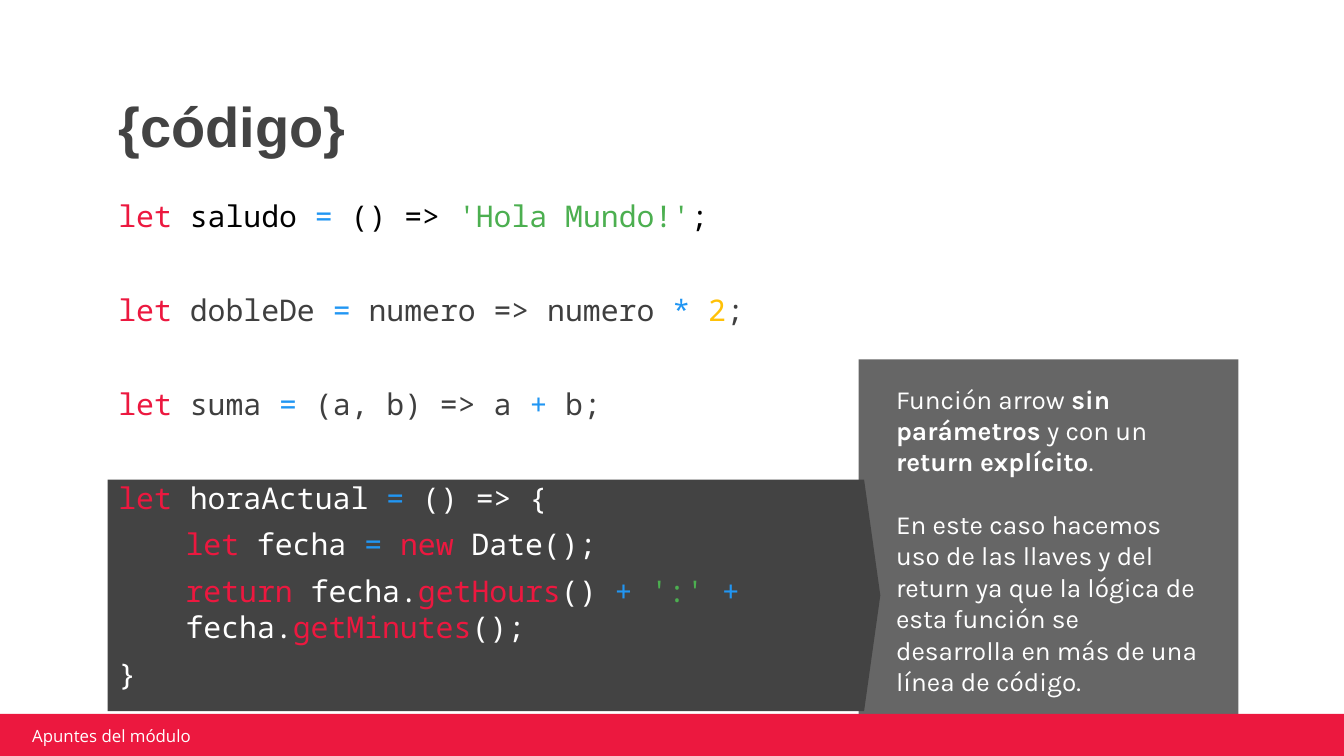
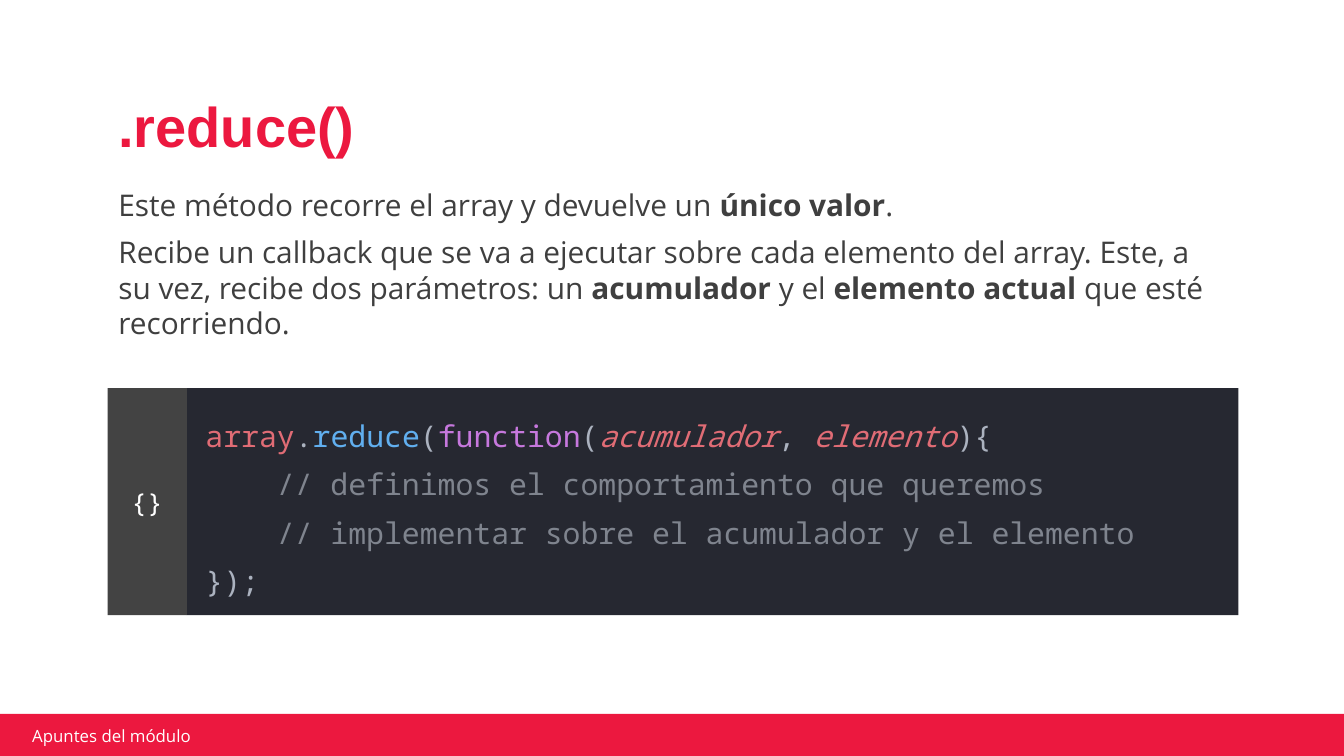
from pptx import Presentation
from pptx.dml.color import RGBColor
from pptx.enum.shapes import MSO_SHAPE as Shape
from pptx.enum.text import MSO_ANCHOR as Anchor, MSO_AUTO_SIZE as AutoSize, PP_ALIGN as Align
from pptx.oxml.ns import qn
from pptx.util import Pt

# Shared look
RED, WHITE, BLACK = "EC183F", "FFFFFF", "000000"
DARK, TEXT, GRAY = "434343", "3F3F3F", "666666"
BLUE, GREEN, YELLOW = "2196F3", "4CAF50", "FFC107"
EDITOR, CORAL, SILVER = "262831", "E06C75", "ABB2BF"
SKY, PURPLE, COMMENT = "61AFEF", "C678DD", "7F848E"
SANS, MONO, NOTE, HEADING = "Open Sans", "Noto Sans Mono", "Karla", "Arial"
PAGE_WIDTH, PAGE_HEIGHT = 720, 405
LEFT, TITLE_WIDTH = 56.2, 607
BLOCK_LEFT, BLOCK_RIGHT = 57.6, 663.5
FOOTER_TOP = 382.4
INSETS = (7.2, 7.2, 7.2, 7.2)
LINE, GAP = 19.1, 6
BLANK = LINE + 2 * GAP
INDENT = 36
NOTE_LINE = 16.8
EDITOR_LINE = 25.9
FOOTER = "Apuntes del módulo"

# Content: each paragraph is (space before, indent, spans);
# each span is (text, colour, style), the style being "", "b" or "i"
ARROW_TITLE = ("{código}", DARK)
ARROW_CODE = [
    (0, 0, [("let", RED), (" saludo ", BLACK), ("=", BLUE), (" () => ", BLACK),
            ("'Hola Mundo!'", GREEN), (";", BLACK)]),
    (BLANK, 0, [("let", RED), (" dobleDe ", TEXT), ("=", BLUE),
                (" numero => numero ", TEXT), ("* ", BLUE), ("2", YELLOW), (";", TEXT)]),
    (BLANK, 0, [("let", RED), (" suma ", TEXT), ("=", BLUE), (" (a, b) => a ", TEXT),
                ("+", BLUE), (" b;", TEXT)]),
    (BLANK, 0, [("let", RED), (" horaActual ", WHITE), ("=", BLUE), (" () => {", WHITE)]),
    (GAP, INDENT, [("let", RED), (" fecha ", WHITE), ("= ", BLUE), ("new", RED),
                   (" Date();", WHITE)]),
    (GAP, INDENT, [("return", RED), (" fecha.", WHITE), ("getHours", RED), ("() ", WHITE),
                   ("+ ", BLUE), ("':' ", GREEN), ("+ ", BLUE), ("fecha.", WHITE),
                   ("getMinutes", RED), ("();", WHITE)]),
    (GAP, 0, [("}", WHITE)]),
]
ARROW_NOTE = [
    (0, 0, [("Función arrow ", WHITE), ("sin parámetros", WHITE, "b"), (" y con un ", WHITE),
            ("return explícito", WHITE, "b"), (".", WHITE)]),
    (NOTE_LINE, 0, [("En este caso hacemos uso de las llaves y del return ya que la lógica "
                     "de esta función se desarrolla en más de una línea de código.", WHITE)]),
]
REDUCE_TITLE = (".reduce()", RED)
REDUCE_BODY = [
    (0, 0, [("Este método recorre el array y devuelve un ", TEXT),
            ("único valor", TEXT, "b"), (".", TEXT)]),
    (GAP, 0, [("Recibe un callback que se va a ejecutar sobre cada elemento del array. "
               "Este, a su vez, recibe dos parámetros: un ", TEXT),
              ("acumulador ", TEXT, "b"), ("y el ", TEXT),
              ("elemento actual", TEXT, "b"), (" que esté recorriendo.", TEXT)]),
]
REDUCE_CODE = [
    (0, 0, [("array", CORAL), (".", SILVER), ("reduce", SKY), ("(", SILVER),
            ("function", PURPLE), ("(", SILVER), ("acumulador", CORAL, "i"),
            (", ", SILVER), ("elemento", CORAL, "i"), ("){", SILVER)]),
    (0, 0, [("    // definimos el comportamiento que queremos", COMMENT)]),
    (0, 0, [("    // implementar sobre el acumulador y el elemento", COMMENT)]),
    (0, 0, [("});", SILVER)]),
]


def color(hex_text):
    return RGBColor.from_string(hex_text)


def place(box, left, top, width, height):
    box.left, box.top, box.width, box.height = map(Pt, (left, top, width, height))


def add_block(page, kind, fill, *area):
    box = page.shapes.add_shape(kind, *map(Pt, area))
    box.shadow.inherit = False
    box.fill.solid()
    box.fill.fore_color.rgb = color(fill)
    box.line.fill.background()
    return box


def write(box, paragraphs, font, size, line=None, anchor=Anchor.MIDDLE,
          insets=INSETS, align=Align.LEFT, bold=None):
    frame = box.text_frame
    frame.word_wrap = True
    frame.auto_size = AutoSize.NONE
    frame.vertical_anchor = anchor
    (frame.margin_left, frame.margin_top,
     frame.margin_right, frame.margin_bottom) = map(Pt, insets)
    for number, (before, indent, spans) in enumerate(paragraphs):
        para = frame.add_paragraph() if number else frame.paragraphs[0]
        props = para._p.get_or_add_pPr()
        props.set("marL", str(Pt(indent)))
        props.set("indent", "0")
        props.append(props.makeelement(qn("a:buNone"), {}))
        para.alignment = align
        para.space_before = Pt(before)
        if line:
            para.line_spacing = line
        para.font.name, para.font.size, para.font.bold = font, Pt(size), bold
        colors = {span[1] for span in spans}
        if len(colors) == 1:
            para.font.color.rgb = color(spans[0][1])
        for text, hue, *style in spans:
            span = para.add_run()
            span.text = text
            # Text in shapes and placeholders inherits a colour, so each run names its own
            span.font.color.rgb = color(hue)
            if "b" in style:
                span.font.bold = True
            if "i" in style:
                span.font.italic = True


def add_page(deck, title):
    page = deck.slides.add_slide(deck.slide_layouts[1])
    place(page.shapes.title, LEFT, 43.2, TITLE_WIDTH, 49.7)
    write(page.shapes.title, [(0, 0, [title])], HEADING, 30, 0.9, Anchor.BOTTOM, bold=True)
    return page, page.placeholders[1]


def add_footer(page):
    add_block(page, Shape.RECTANGLE, RED, 0, FOOTER_TOP, PAGE_WIDTH, PAGE_HEIGHT - FOOTER_TOP)
    label = page.shapes.add_textbox(Pt(13.7), Pt(388.8), Pt(172), Pt(10.8))
    write(label, [(0, 0, [(FOOTER, WHITE)])], SANS, 9, insets=(3.6, 1.4, 3.6, 1.4))


def build_arrow_page(deck):
    page, body = add_page(deck, ARROW_TITLE)
    # Explanation panel, with the arrow pointing into it
    panel_left, panel_top = 460, 192.5
    panel = add_block(page, Shape.RECTANGLE, GRAY, panel_left, panel_top,
                      BLOCK_RIGHT - panel_left, 193.5)
    write(panel, ARROW_NOTE, NOTE, 14, Pt(NOTE_LINE), insets=(20, 0, 20, 0))
    arrow = add_block(page, Shape.RIGHT_ARROW, DARK, BLOCK_LEFT, 257, 414, 124)
    arrow.adjustments[0], arrow.adjustments[1] = 1, 0.07
    # Code lies over the arrow
    place(body, LEFT, 104.4, 400.3, 267.8)
    write(body, ARROW_CODE, MONO, 16, Pt(LINE))
    page.shapes.element.append(body.element)
    add_footer(page)


def build_reduce_page(deck):
    page, body = add_page(deck, REDUCE_TITLE)
    place(body, LEFT, 92.9, TITLE_WIDTH, 38.2)
    write(body, REDUCE_BODY, SANS, 16, Pt(LINE), Anchor.TOP)
    # Code block with its label strip
    top, height, strip_width = 207.9, 121.7, 42.5
    code_left = BLOCK_LEFT + strip_width
    code = add_block(page, Shape.RECTANGLE, EDITOR, code_left, top,
                     BLOCK_RIGHT - code_left, height)
    write(code, REDUCE_CODE, MONO, 16, Pt(EDITOR_LINE), insets=(10, 0, 7.2, 0))
    strip = add_block(page, Shape.RECTANGLE, DARK, BLOCK_LEFT, top, strip_width, height)
    write(strip, [(0, 0, [("{}", WHITE)])], MONO, 14, align=Align.CENTER)
    add_footer(page)


def main():
    deck = Presentation()
    deck.slide_width, deck.slide_height = Pt(PAGE_WIDTH), Pt(PAGE_HEIGHT)
    build_arrow_page(deck)
    build_reduce_page(deck)
    deck.save("out.pptx")


if __name__ == "__main__":
    main()
